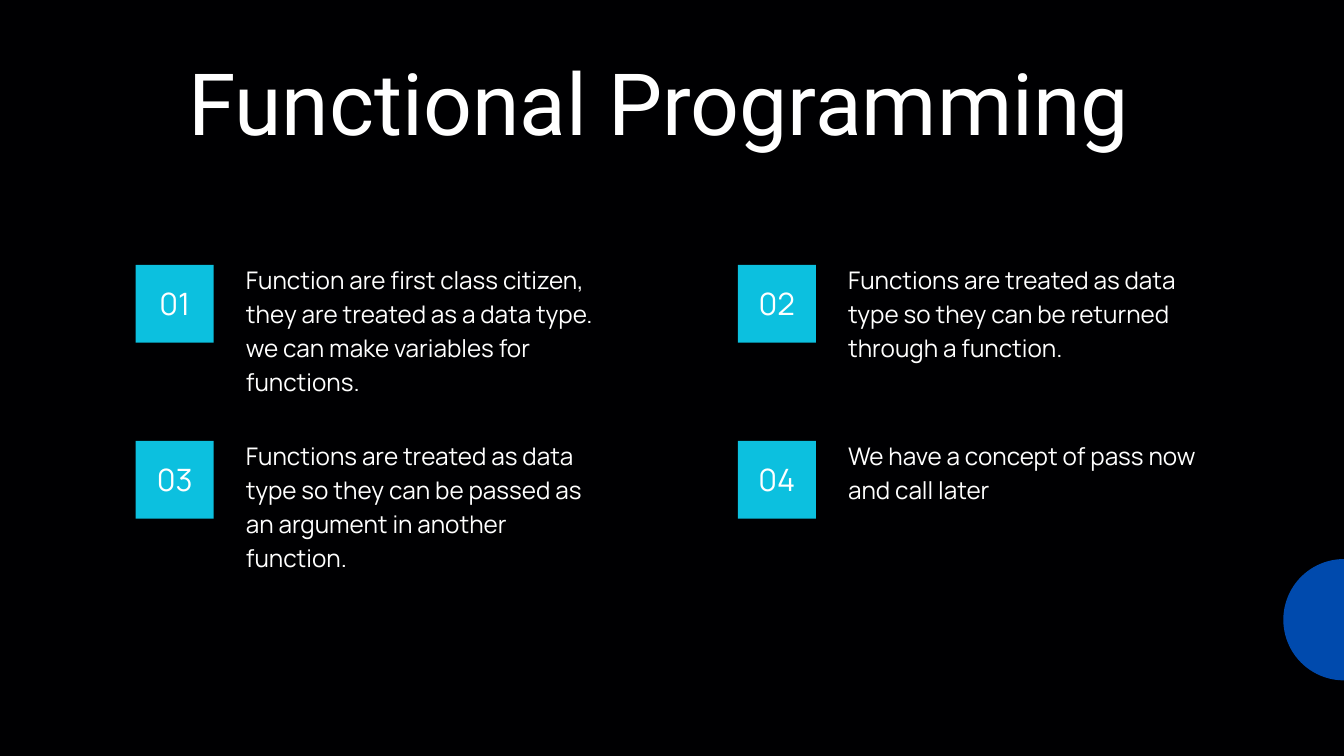
"""Build a slide listing four numbered ideas of functional programming."""
import pptx
import pptx.dml.color
import pptx.enum.shapes
import pptx.enum.text
import pptx.util

Pt = pptx.util.Pt
Color = pptx.dml.color.RGBColor.from_string
Kind = pptx.enum.shapes.MSO_SHAPE
Align = pptx.enum.text.PP_ALIGN

theme = {
    "back": "000002", "text": "FFFFFF", "tile": "0CC0DF", "disc": "004AAD",
    "head": "Roboto", "body": "Manrope",
    "title": 92, "number": 33, "point": 26,
}

deck = pptx.Presentation()
deck.slide_width, deck.slide_height = Pt(1440), Pt(810)
slide = deck.slides.add_slide(deck.slide_layouts[6])
slide.background.fill.solid()
slide.background.fill.fore_color.rgb = Color(theme["back"])


def write(text, *, box, size, font=theme["body"], align=Align.LEFT):
    frame = slide.shapes.add_textbox(*map(Pt, box)).text_frame
    frame.margin_left = frame.margin_right = 0
    frame.margin_top = frame.margin_bottom = 0
    frame.word_wrap = True
    frame.auto_size = pptx.enum.text.MSO_AUTO_SIZE.SHAPE_TO_FIT_TEXT
    line = frame.paragraphs[0]
    line.alignment = align
    line.line_spacing = Pt(size * 1.4)
    run = line.add_run()
    run.text = text
    run.font.name = font
    run.font.size = Pt(size)
    run.font.color.rgb = Color(theme["text"])


def draw(kind, *, box, color):
    shape = slide.shapes.add_shape(kind, *map(Pt, box))
    shape.shadow.inherit = False
    shape.fill.solid()
    shape.fill.fore_color.rgb = Color(color)
    shape.line.fill.background()


draw(Kind.OVAL, box=(1375, 599, 130, 130), color=theme["disc"])

points = [
    ("Function are first class citizen, they are treated as a data type. "
     "we can make variables for functions.", 384, 144),
    ("Functions are treated as data type so they can be returned "
     "through a function.", 401, 108),
    ("Functions are treated as data type so they can be passed as "
     "an argument in another function.", 384, 144),
    ("We have a concept of pass now and call later", 379, 72),
]
for index, (text, width, height) in enumerate(points):
    row, column = divmod(index, 2)
    left, top = 145.4 + 645.2 * column, 283.7 + 188.6 * row
    draw(Kind.RECTANGLE, box=(left, top, 83.5, 83.5), color=theme["tile"])
    write(f"{index + 1:02}", box=(left + 5.8, top + 14.4, 72, 46.8),
          size=theme["number"], align=Align.CENTER)
    write(text, box=(left + 118.1, top - 5, width, height),
          size=theme["point"])

write("Functional Programming", box=(151.2, 35.3, 1109.5, 123.1),
      size=theme["title"], font=theme["head"], align=Align.CENTER)

deck.save("out.pptx")
